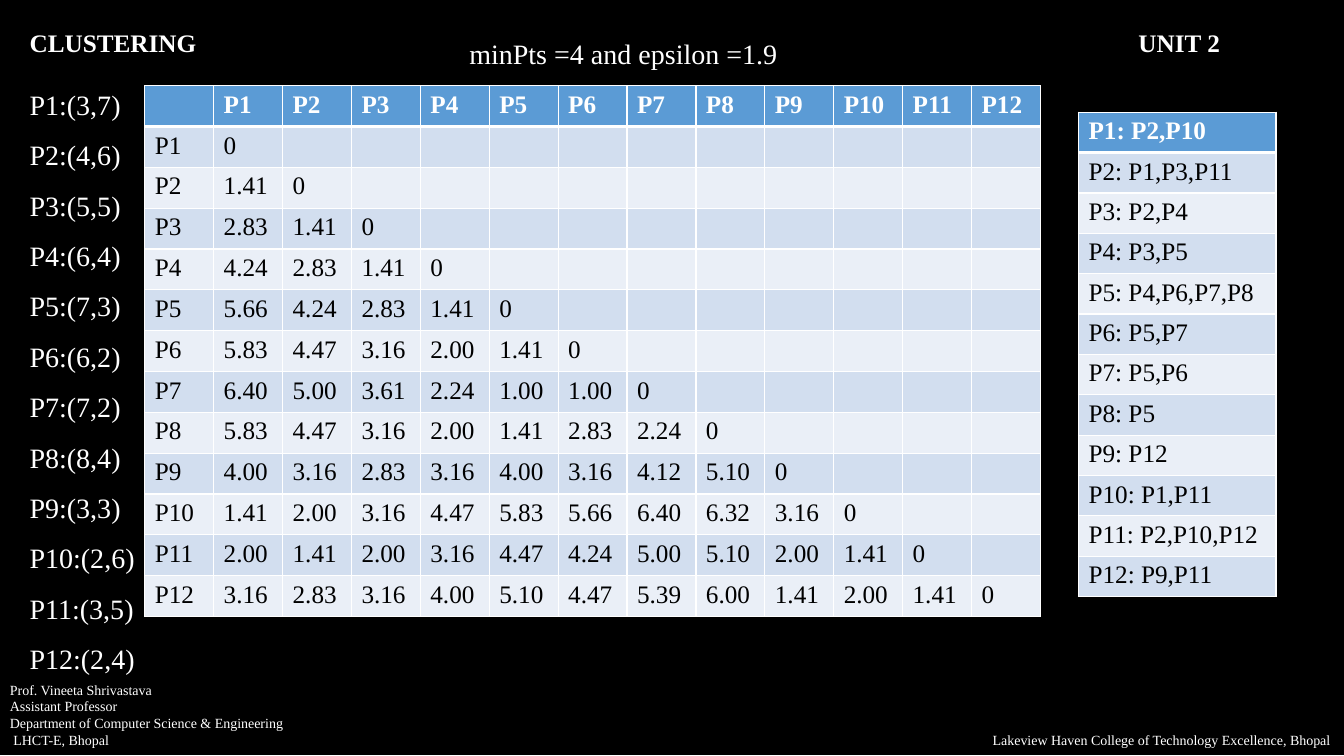
"""Build the clustering slide with its distance matrix and neighbour list."""
import dataclasses

import lxml.etree
import pptx
import pptx.dml.color
import pptx.enum.shapes
import pptx.enum.text
import pptx.oxml.ns
import pptx.slide
import pptx.table
import pptx.text.text
import pptx.util

Pt = pptx.util.Pt
Color = pptx.dml.color.RGBColor
Align = pptx.enum.text.PP_ALIGN
qn = pptx.oxml.ns.qn


@dataclasses.dataclass(frozen=True)
class Theme:
    font: str = "Times New Roman"
    black: str = "000000"
    white: str = "FFFFFF"
    head: str = "5B9BD5"
    bands: tuple[str, str] = ("D2DEEF", "EAEFF7")
    small: float = 10
    main: float = 18
    large: float = 20
    thin: float = 1
    thick: float = 3


@dataclasses.dataclass(frozen=True)
class Block:
    left: float
    top: float
    width: float
    height: float
    lines: list[str]
    size: float
    space: float = 1


@dataclasses.dataclass(frozen=True)
class Grid:
    left: float
    top: float
    width: float
    height: float
    rows: list[list[str]]


THEME = Theme()
WIDTH, HEIGHT = 960, 540
POINTS = ["(3,7)", "(4,6)", "(5,5)", "(6,4)", "(7,3)", "(6,2)",
          "(7,2)", "(8,4)", "(3,3)", "(2,6)", "(3,5)", "(2,4)"]
LABELS = [f"P{i}" for i in range(1, len(POINTS) + 1)]
GAPS = [
    "0",
    "1.41 0",
    "2.83 1.41 0",
    "4.24 2.83 1.41 0",
    "5.66 4.24 2.83 1.41 0",
    "5.83 4.47 3.16 2.00 1.41 0",
    "6.40 5.00 3.61 2.24 1.00 1.00 0",
    "5.83 4.47 3.16 2.00 1.41 2.83 2.24 0",
    "4.00 3.16 2.83 3.16 4.00 3.16 4.12 5.10 0",
    "1.41 2.00 3.16 4.47 5.83 5.66 6.40 6.32 3.16 0",
    "2.00 1.41 2.00 3.16 4.47 4.24 5.00 5.10 2.00 1.41 0",
    "3.16 2.83 3.16 4.00 5.10 4.47 5.39 6.00 1.41 2.00 1.41 0",
]
NEAR = ["P2,P10", "P1,P3,P11", "P2,P4", "P3,P5", "P4,P6,P7,P8", "P5,P7",
        "P5,P6", "P5", "P12", "P1,P11", "P2,P10,P12", "P9,P11"]

BLOCKS = [
    Block(0, 483, 250, 55.4, ["Prof. Vineeta Shrivastava", "Assistant Professor",
          "Department of Computer Science & Engineering", " LHCT-E, Bhopal"], THEME.small),
    Block(702, 519, 258, 19.4,
          ["Lakeview Haven College of Technology Excellence, Bhopal"], THEME.small),
    Block(14, 10.8, 862.6, 516.2, ["minPts =4 and epsilon =1.9"]
          + [f"{name}:{point}" for name, point in zip(LABELS, POINTS)], THEME.large, 1.5),
]
GRIDS = [
    Grid(103.4, 61.2, 640, 379.4, [["", *LABELS]]
         + [[name, *gaps.split()] for name, gaps in zip(LABELS, GAPS)]),
    Grid(770.4, 80.2, 141, 345.6,
         [[f"{name}: {near}"] for name, near in zip(LABELS, NEAR)]),
]


def style_text(frame: pptx.text.text.TextFrame, size: float, color: str,
               bold: bool = False) -> None:
    for para in frame.paragraphs:
        for run in para.runs:
            run.font.name = THEME.font
            run.font.size = Pt(size)
            run.font.bold = bold
            run.font.color.rgb = Color.from_string(color)


def draw_title(slide: pptx.slide.Slide) -> None:
    title = slide.shapes.title
    title.left, title.top, title.width, title.height = Pt(14), Pt(15.8), Pt(932), Pt(29)
    frame = title.text_frame
    frame.text = "CLUSTERING\tUNIT 2"
    frame.word_wrap = True
    frame.auto_size = pptx.enum.text.MSO_AUTO_SIZE.SHAPE_TO_FIT_TEXT
    frame.vertical_anchor = pptx.enum.text.MSO_ANCHOR.TOP
    para = frame.paragraphs[0]
    para.alignment = Align.LEFT
    tabs = lxml.etree.SubElement(para._p.get_or_add_pPr(), qn("a:tabLst"))
    lxml.etree.SubElement(tabs, qn("a:tab"), pos=str(Pt(792)), algn="l")
    style_text(frame, THEME.main, THEME.white, True)


def draw_back(slide: pptx.slide.Slide) -> None:
    back = slide.shapes.add_shape(pptx.enum.shapes.MSO_SHAPE.RECTANGLE,
                                  0, Pt(-1.4), Pt(WIDTH), Pt(HEIGHT))
    back.shadow.inherit = False
    back.fill.solid()
    back.fill.fore_color.rgb = Color.from_string(THEME.black)
    back.line.color.rgb = Color.from_string(THEME.black)
    back.line.width = Pt(THEME.thin)
    slide.shapes.title._element.addprevious(back._element)


def draw_block(slide: pptx.slide.Slide, block: Block) -> None:
    box = slide.shapes.add_textbox(Pt(block.left), Pt(block.top),
                                   Pt(block.width), Pt(block.height))
    frame = box.text_frame
    frame.text = "\n".join(block.lines)
    frame.word_wrap = True
    frame.auto_size = pptx.enum.text.MSO_AUTO_SIZE.SHAPE_TO_FIT_TEXT
    for para in frame.paragraphs:
        para.line_spacing = block.space
        para.alignment = Align.LEFT
    if block.size == THEME.large:
        frame.paragraphs[0].alignment = Align.CENTER
    style_text(frame, block.size, THEME.white)


def style_cell(cell: pptx.table._Cell, row: int) -> None:
    edges = {"L": THEME.thin, "R": THEME.thin,
             "T": THEME.thick if row == 1 else THEME.thin,
             "B": THEME.thick if row == 0 else THEME.thin}
    props = cell._tc.get_or_add_tcPr()
    for side, width in edges.items():
        line = lxml.etree.SubElement(props, qn(f"a:ln{side}"), w=str(Pt(width)))
        fill = lxml.etree.SubElement(line, qn("a:solidFill"))
        lxml.etree.SubElement(fill, qn("a:srgbClr"), val=THEME.white)
    cell.fill.solid()
    shade = THEME.bands[(row - 1) % 2] if row else THEME.head
    cell.fill.fore_color.rgb = Color.from_string(shade)
    style_text(cell.text_frame, THEME.main, THEME.black if row else THEME.white, row == 0)


def draw_grid(slide: pptx.slide.Slide, grid: Grid) -> None:
    count, span = len(grid.rows), len(grid.rows[0])
    table = slide.shapes.add_table(count, span, Pt(grid.left), Pt(grid.top),
                                   Pt(grid.width), Pt(grid.height)).table
    for column in table.columns:
        column.width = Pt(grid.width / span)
    for r, texts in enumerate(grid.rows):
        table.rows[r].height = Pt(grid.height / count)
        for c, text in enumerate(texts):
            table.cell(r, c).text_frame.text = text
        for c in range(span):
            style_cell(table.cell(r, c), r)


def main() -> None:
    deck = pptx.Presentation()
    deck.slide_width, deck.slide_height = Pt(WIDTH), Pt(HEIGHT)
    slide = deck.slides.add_slide(deck.slide_layouts.get_by_name("Title Only"))
    draw_title(slide)
    draw_back(slide)
    for block in BLOCKS:
        draw_block(slide, block)
    for grid in GRIDS:
        draw_grid(slide, grid)
    deck.save("out.pptx")


if __name__ == "__main__":
    main()
